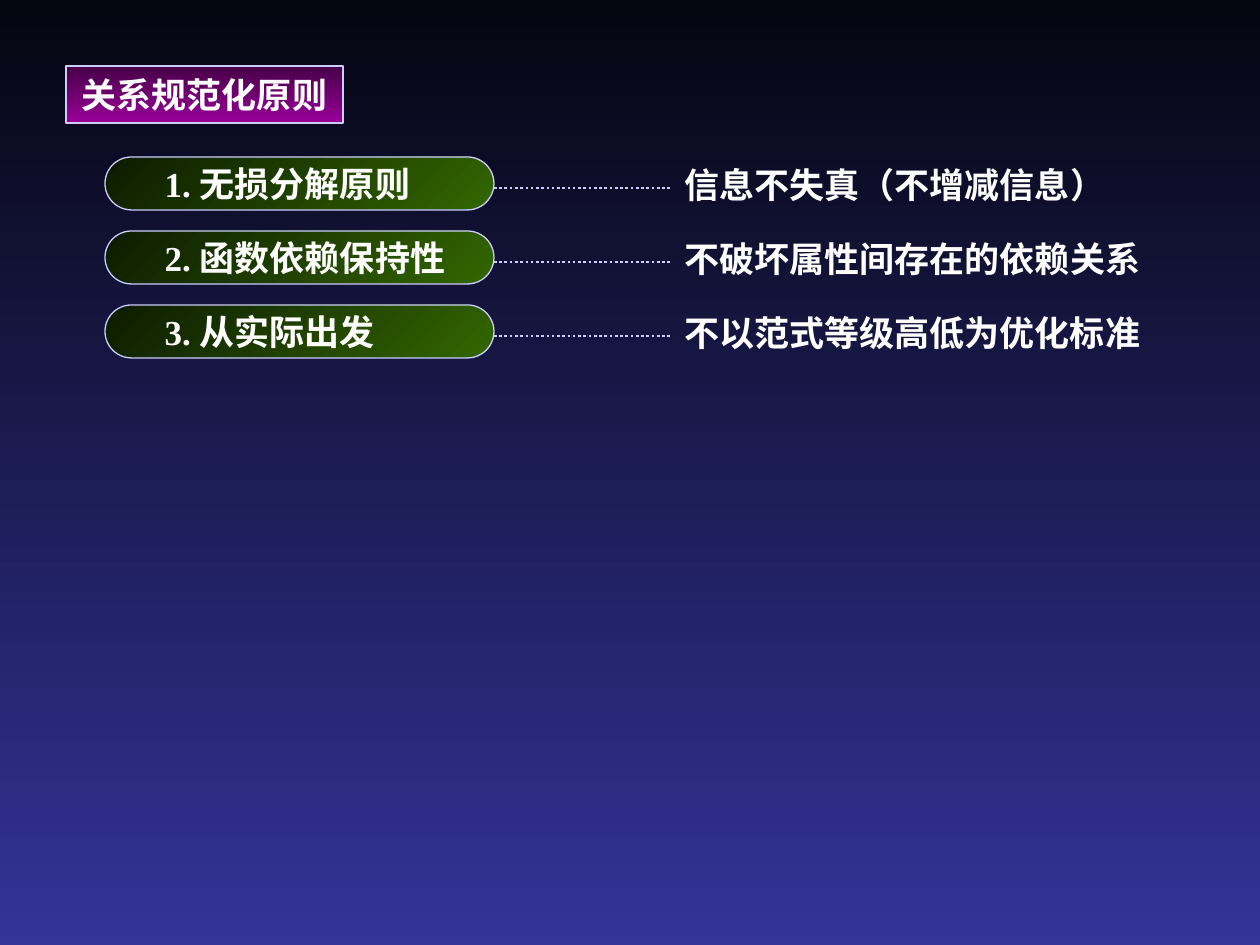
from lxml import etree
from pptx import Presentation
from pptx import util as u
from pptx.dml.color import RGBColor
from pptx.enum import dml, shapes, text
from pptx.oxml.ns import qn

# Content
HEADING = "关系规范化原则"
PRINCIPLES = [  # name, meaning, width of the meaning in px
    ("1. 无损分解原则", "信息不失真（不增减信息）", 546),
    ("2. 函数依赖保持性", "不破坏属性间存在的依赖关系", 546),
    ("3. 从实际出发", "不以范式等级高低为优化标准", 494),
]

# Style
COLORS = {
    "night": "050510", "indigo": "333399",
    "plum": "470047", "purple": "990099",
    "moss": "0D1B00", "green": "336600",
    "outline": "CCCCFF", "text": "FFFFFF",
}
FONT = "Times New Roman"
DOWN, DIAGONAL = 270, 315

# Layout in px
PX_PER_INCH = 126
SLIDE_W, SLIDE_H = 1260, 945
HEADING_BOX = (66, 66, 277, 57)
ROW_TOP, ROW_PITCH = 157, 74
PILL_LEFT, PILL_W, PILL_H, PILL_INDENT = 105, 389, 53, 52
LEADER_DROP = 31
MEANING_LEFT, MEANING_H = 672, 55


def px(*lengths):
    return [round(n * u.Inches(1) / PX_PER_INCH) for n in lengths]


def rgb(name):
    return RGBColor.from_string(COLORS[name])


def fill_gradient(fill, start, end, angle):
    fill.gradient()
    fill.gradient_angle = angle
    for stop, color, position in zip(fill.gradient_stops, (start, end), (0, 1)):
        stop.color.rgb = rgb(color)
        stop.position = position


def set_line(line, width):
    line.color.rgb = rgb("outline")
    line.width = u.Pt(width)


def write(shape, words, align=text.PP_ALIGN.LEFT):
    frame = shape.text_frame
    frame.text = words
    frame.word_wrap = True
    paragraph = frame.paragraphs[0]
    paragraph.alignment = align
    font = paragraph.runs[0].font
    font.name, font.size, font.bold = FONT, u.Pt(20), True
    font.color.rgb = rgb("text")
    return frame


def add_principle(slide, top, name, meaning, meaning_w):
    row = slide.shapes.add_group_shape().shapes

    # Pill with the name
    pill = row.add_shape(shapes.MSO_SHAPE.ROUNDED_RECTANGLE,
                         *px(PILL_LEFT, top, PILL_W, PILL_H))
    pill.adjustments[0] = 0.5
    pill.shadow.inherit = False
    fill_gradient(pill.fill, "moss", "green", DIAGONAL)
    set_line(pill.line, 0.75)
    frame = write(pill, name)
    frame.vertical_anchor = text.MSO_ANCHOR.MIDDLE
    frame.margin_left, = px(PILL_INDENT)
    frame.margin_top = frame.margin_right = frame.margin_bottom = 0

    # Dotted leader
    y = top + LEADER_DROP
    leader = row.add_connector(shapes.MSO_CONNECTOR.STRAIGHT,
                               *px(PILL_LEFT + PILL_W, y, MEANING_LEFT, y))
    set_line(leader.line, 1.5)
    leader.line.dash_style = dml.MSO_LINE.ROUND_DOT
    etree.SubElement(leader._element.spPr, qn("a:effectLst"))

    # Meaning
    write(row.add_textbox(*px(MEANING_LEFT, top, meaning_w, MEANING_H)), meaning)


def main():
    deck = Presentation()
    deck.slide_width, deck.slide_height = px(SLIDE_W, SLIDE_H)
    slide = deck.slides.add_slide(deck.slide_layouts[5])
    fill_gradient(slide.background.fill, "night", "indigo", DOWN)

    # Heading
    heading = slide.shapes.title
    heading.left, heading.top, heading.width, heading.height = px(*HEADING_BOX)
    fill_gradient(heading.fill, "plum", "purple", DOWN)
    set_line(heading.line, 0.75)
    frame = write(heading, HEADING, text.PP_ALIGN.CENTER)
    frame.vertical_anchor = text.MSO_ANCHOR.MIDDLE
    frame.auto_size = text.MSO_AUTO_SIZE.NONE

    # Principles
    for i, principle in enumerate(PRINCIPLES):
        add_principle(slide, ROW_TOP + i * ROW_PITCH, *principle)

    deck.save("out.pptx")


if __name__ == "__main__":
    main()
